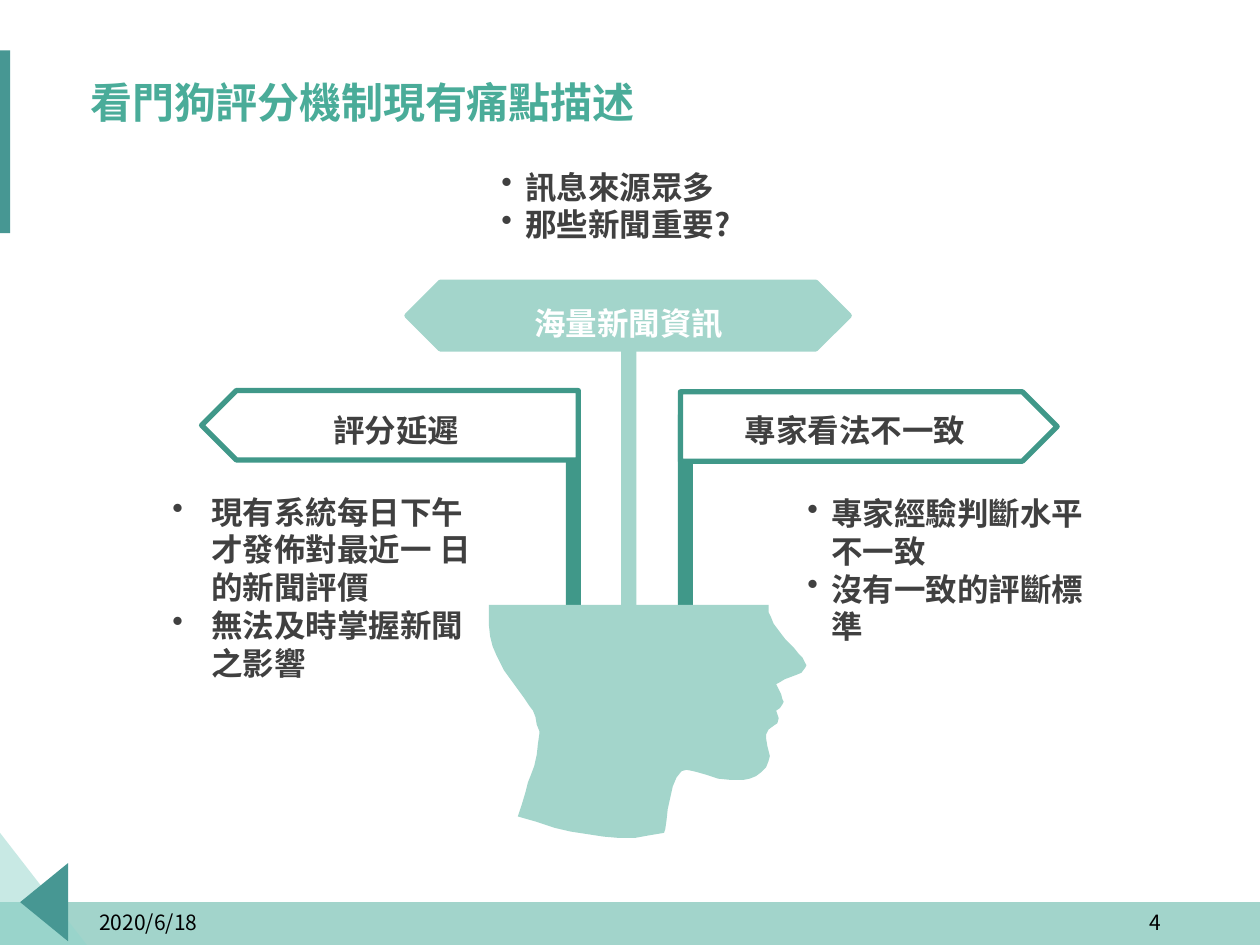
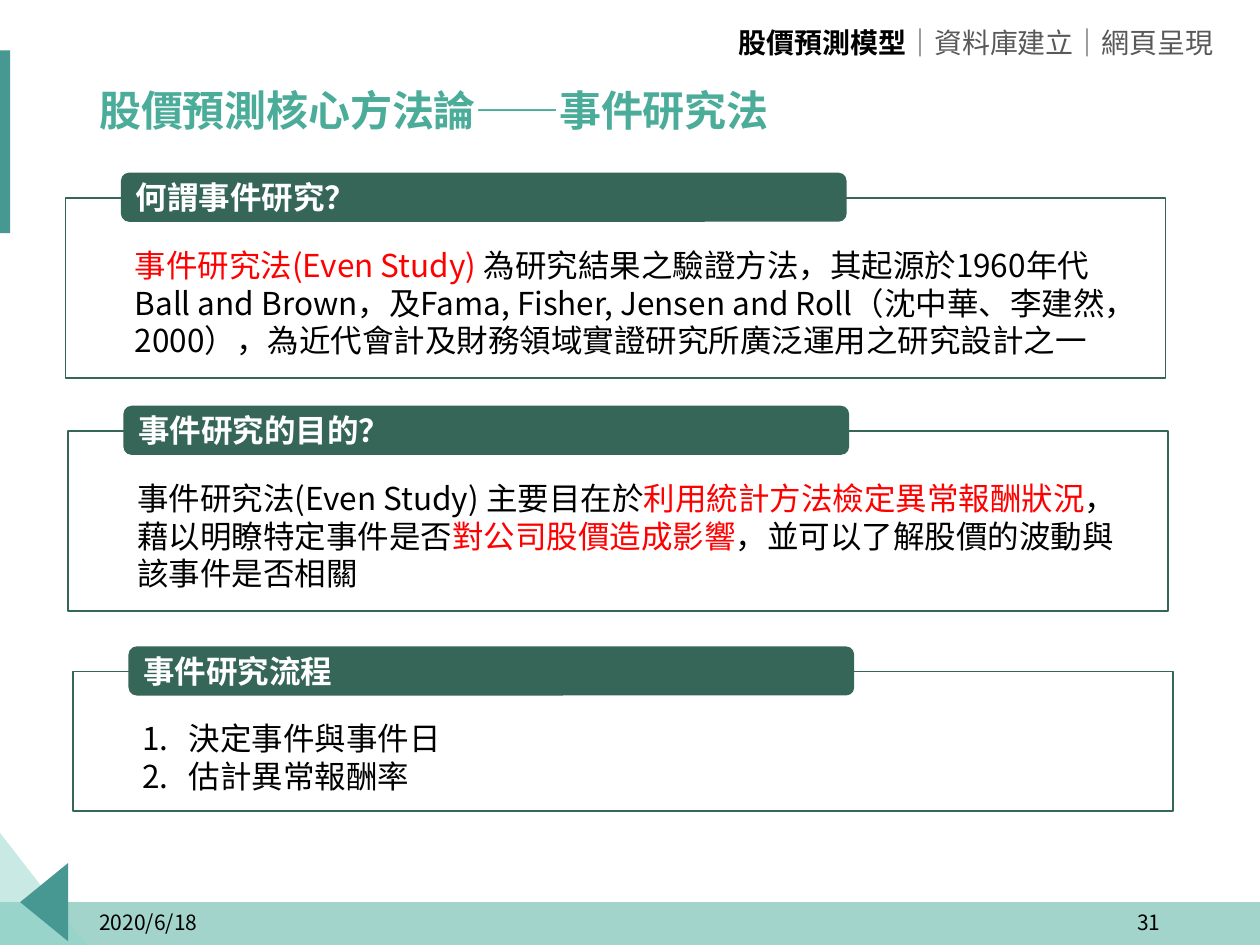
from dataclasses import dataclass

from lxml import etree
from pptx import Presentation
from pptx.dml.color import RGBColor
from pptx.enum.shapes import MSO_SHAPE
from pptx.enum.text import MSO_ANCHOR, PP_ALIGN
from pptx.oxml.ns import qn
from pptx.util import Inches, Pt

RECTANGLE = MSO_SHAPE.RECTANGLE
ROUNDED = MSO_SHAPE.ROUNDED_RECTANGLE
HEXAGON = MSO_SHAPE.HEXAGON
SIGN = MSO_SHAPE.PENTAGON
TOP, MIDDLE = MSO_ANCHOR.TOP, MSO_ANCHOR.MIDDLE
LEFT, CENTER, RIGHT = PP_ALIGN.LEFT, PP_ALIGN.CENTER, PP_ALIGN.RIGHT


@dataclass(frozen=True)
class Theme:
    sans_tc: str = "Noto Sans CJK TC"
    sans_sc: str = "Noto Sans CJK SC"
    title: str = "4AAC99"
    pale: str = "92D4CB"
    accent: str = "479793"
    mint: str = "A3D5CB"
    teal: str = "409889"
    forest: str = "356657"
    charcoal: str = "404040"
    gray: str = "595959"
    black: str = "000000"
    white: str = "FFFFFF"
    red: str = "FF0000"
    title_size: int = 24
    body_size: int = 18
    trail_size: int = 16
    footer_size: int = 12
    line_pitch: float = 1.2


@dataclass(frozen=True)
class Run:
    text: str
    color: str
    face: str = ""
    bold: bool = False


THEME = Theme()

# Outline of the head in hundredths of an inch, clockwise from the top left
HEAD_OUTLINE = [
    (0, 0), (222, 0), (222, 6), (224, 10), (226, 15), (229, 19), (235, 27),
    (242, 34), (246, 39), (249, 42), (251, 46), (252, 48), (251, 50),
    (248, 54), (243, 56), (235, 59), (230, 62), (228, 63), (229, 65),
    (232, 71), (233, 75), (234, 77), (233, 79), (231, 82), (228, 84),
    (229, 87), (230, 90), (229, 94), (226, 96), (222, 99), (220, 103),
    (220, 106), (221, 112), (223, 120), (222, 124), (220, 129), (216, 133),
    (212, 136), (207, 138), (202, 139), (192, 139), (182, 138), (173, 135),
    (166, 133), (162, 132), (157, 131), (153, 132), (149, 137), (146, 144),
    (144, 153), (142, 162), (141, 171), (140, 178), (139, 181), (127, 183),
    (116, 185), (103, 185), (91, 184), (78, 182), (65, 180), (52, 177),
    (37, 172), (23, 168), (26, 159), (29, 149), (31, 141), (33, 136),
    (36, 128), (38, 119), (39, 110), (40, 103), (40, 100), (38, 95),
    (37, 89), (35, 84), (32, 80), (28, 74), (20, 63), (12, 52), (9, 46),
    (6, 40), (3, 33), (1, 25), (0, 16),
]


def paint(shape, fill=None, line=None, line_width=1, opacity=100):
    shape.shadow.inherit = False
    if fill:
        shape.fill.solid()
        shape.fill.fore_color.rgb = RGBColor.from_string(fill)
        if opacity < 100:
            color = shape.fill._xPr.find(qn("a:solidFill"))[0]
            etree.SubElement(color, qn("a:alpha"), val=str(opacity * 1000))
    else:
        shape.fill.background()
    if line:
        shape.line.color.rgb = RGBColor.from_string(line)
        shape.line.width = Pt(line_width)
    else:
        shape.line.fill.background()
    return shape


def add_block(slide, kind, left, top, width, height, **look):
    shape = slide.shapes.add_shape(
        kind, Inches(left), Inches(top), Inches(width), Inches(height))
    return paint(shape, **look)


def add_outline(slide, left, top, points, **look):
    """Draw a closed outline whose points are hundredths of an inch from left, top."""
    builder = slide.shapes.build_freeform(*points[0], scale=Inches(0.01))
    builder.add_line_segments(points[1:], close=True)
    return paint(builder.convert_to_shape(Inches(left), Inches(top)), **look)


def set_face(font, face):
    """Set the Latin and the East Asian typeface."""
    font.name = face
    etree.SubElement(font._rPr, qn("a:ea"), typeface=face)


def set_bullet(paragraph, indent, numbered):
    properties = paragraph._p.get_or_add_pPr()
    properties.set("marL", str(Inches(indent)))
    properties.set("indent", str(-Inches(indent)))
    if numbered:
        bullet = etree.Element(qn("a:buAutoNum"), type="arabicPeriod")
    else:
        bullet = etree.Element(qn("a:buChar"), char="•")
    properties.insert_element_before(bullet, "a:tabLst", "a:defRPr", "a:extLst")


def write(frame, paragraphs, size, face, color=THEME.black, bold=False,
          align=LEFT, spacing=None, indent=0, numbered=False):
    """Fill a text frame; a paragraph is a string or a list of Runs."""
    for index, content in enumerate(paragraphs):
        paragraph = frame.paragraphs[0] if index == 0 else frame.add_paragraph()
        paragraph.alignment = align
        if spacing:
            paragraph.line_spacing = spacing
        font = paragraph.font
        font.size = Pt(size)
        if isinstance(content, str):
            font.bold = bold
            font.color.rgb = RGBColor.from_string(color)
            paragraph.add_run().text = content
        else:
            for part in content:
                run = paragraph.add_run()
                run.text = part.text
                run.font.bold = part.bold
                run.font.color.rgb = RGBColor.from_string(part.color)
                if part.face:
                    set_face(run.font, part.face)
        set_face(font, face)
        if indent:
            set_bullet(paragraph, indent, numbered)


def add_text(slide, left, top, width, height, paragraphs, size=THEME.body_size,
             face=THEME.sans_tc, anchor=TOP, wrap=True, **style):
    box = slide.shapes.add_textbox(
        Inches(left), Inches(top), Inches(width), Inches(height))
    frame = box.text_frame
    frame.word_wrap = wrap
    frame.vertical_anchor = anchor
    if anchor == TOP:
        frame.margin_top = Inches(0.07)
        style["spacing"] = Pt(size * THEME.line_pitch)
    write(frame, paragraphs, size, face, **style)
    return box


def add_decoration(slide):
    add_block(slide, RECTANGLE, 0, 7.16, 10, 0.34, fill=THEME.title, opacity=51)
    add_outline(slide, 0, 6.61, [(0, 0), (69, 89), (0, 89)],
                fill=THEME.pale, opacity=50)
    add_outline(slide, 0.16, 6.85, [(38, 0), (38, 62), (0, 31)], fill=THEME.accent)
    add_block(slide, RECTANGLE, -0.08, 0.4, 0.16, 1.45, fill=THEME.accent)


def add_title(slide, left, top, title, face):
    box = add_text(slide, left, top, 8.62, 0.66, [title], THEME.title_size, face,
                   MIDDLE, color=THEME.title, bold=True, spacing=0.9)
    for run in box.text_frame.paragraphs[0].runs:
        run.font._rPr.set("spc", "-10")


def add_footer(slide, number):
    for left, text, align in ((0.69, "2020/6/18", LEFT), (7.06, number, RIGHT)):
        add_text(slide, left, 7.12, 2.25, 0.4, [text], THEME.footer_size,
                 anchor=MIDDLE, align=align)


def start_slide(presentation, number, title, title_left, title_top, title_face):
    slide = presentation.slides.add_slide(presentation.slide_layouts[6])
    add_decoration(slide)
    add_title(slide, title_left, title_top, title, title_face)
    add_footer(slide, number)
    return slide


def add_label(slide, left, top, width, text, color=THEME.charcoal):
    add_text(slide, left, top, width, 0.4, [text], face=THEME.sans_sc,
             color=color, bold=True, align=CENTER)


def add_bullets(slide, left, top, width, height, items, indent=0.19):
    add_text(slide, left, top, width, height, items, face=THEME.sans_sc,
             color=THEME.charcoal, bold=True, indent=indent)


def add_head_with_signs(slide, left, top):
    """Draw the signposts rising from a head whose box starts at left, top."""
    for offset, rise, height, color in ((0.61, 1.69, 1.89, THEME.teal),
                                        (1.05, 2.04, 2.25, THEME.mint),
                                        (1.5, 1.51, 1.89, THEME.teal)):
        add_block(slide, RECTANGLE, left + offset, top - rise, 0.12, height, fill=color)
    add_outline(slide, left, top, HEAD_OUTLINE, fill=THEME.mint)

    for offset, rise, rotation in ((-2.28, 1.7, 180), (1.52, 1.69, 0)):
        sign = add_block(slide, SIGN, left + offset, top - rise, 2.99, 0.55,
                         fill=THEME.white, line=THEME.teal, line_width=3)
        sign.rotation = rotation
    top_sign = add_block(slide, HEXAGON, left - 0.65, top - 2.56, 3.51, 0.53,
                         fill=THEME.mint, line=THEME.mint, line_width=3)
    top_sign.adjustments[0] = 0.5

    add_label(slide, left + 0.23, top - 2.46, 1.76, "海量新聞資訊", THEME.white)
    add_label(slide, left - 1.81, top - 1.61, 2.15, "評分延遲")
    add_label(slide, left + 1.75, top - 1.61, 2.31, "專家看法不一致")


def build_pain_points(presentation):
    slide = start_slide(presentation, "4", "看門狗評分機制現有痛點描述",
                        0.62, 0.5, THEME.sans_sc)
    add_head_with_signs(slide, 3.88, 4.8)
    add_bullets(slide, 3.88, 1.26, 3.18, 0.71, ["訊息來源眾多", "那些新聞重要?"])
    add_bullets(slide, 1.27, 3.84, 2.61, 1.62,
                ["現有系統每⽇下午才發佈對最近⼀ ⽇的新聞評價",
                 "無法及時掌握新聞之影響"], indent=0.31)
    add_bullets(slide, 6.31, 3.85, 2.44, 1.62,
                ["專家經驗判斷⽔平 不⼀致", "沒有一致的評斷標準"])


def add_chapter_trail(slide, left, top):
    separator = Run("｜", THEME.gray, THEME.sans_sc)
    trail = [Run("股價預測模型", THEME.black, bold=True), separator,
             Run("資料庫建立", THEME.gray), separator, Run("網頁呈現", THEME.gray)]
    add_text(slide, left, top, 4.02, 0.37, [trail], THEME.trail_size,
             wrap=False, align=RIGHT)


def add_section(slide, left, top, height, heading, paragraphs, **style):
    """Draw a framed section with its heading bar across the top edge."""
    add_block(slide, RECTANGLE, left, top, 8.73, height, line=THEME.forest)
    bar = add_block(slide, ROUNDED, left + 0.44, top - 0.2, 5.76, 0.39,
                    fill=THEME.forest)
    bar.text_frame.vertical_anchor = MIDDLE
    write(bar.text_frame, [heading], THEME.body_size, THEME.sans_tc,
          color=THEME.white, bold=True)
    add_text(slide, left + 0.45, top + 0.31, 8.18, height - 0.41, paragraphs, **style)


def build_event_study(presentation):
    slide = start_slide(presentation, "31", "股價預測核心方法論——事件研究法",
                        0.69, 0.57, THEME.sans_tc)
    add_chapter_trail(slide, 5.71, 0.13)
    definition = [
        Run("事件研究法(Even Study) ", THEME.red),
        Run("為研究結果之驗證方法，其起源於1960年代 Ball and Brown，及Fama, "
            "Fisher, Jensen and Roll（沈中華、李建然，2000），為近代會計及財務"
            "領域實證研究所廣泛運用之研究設計之一", THEME.black),
    ]
    purpose = [
        Run("事件研究法(Even Study) 主要目在於", THEME.black),
        Run("利用統計方法檢定異常報酬狀況", THEME.red),
        Run("，藉以明瞭特定事件是否", THEME.black),
        Run("對公司股價造成影響", THEME.red),
        Run("，並可以了解股價的波動與該事件是否相關", THEME.black),
    ]
    add_section(slide, 0.52, 1.57, 1.43, "何謂事件研究？", [definition])
    add_section(slide, 0.54, 3.42, 1.43, "事件研究的目的？", [purpose])
    add_section(slide, 0.58, 5.33, 1.11, "事件研究流程",
                ["決定事件與事件日", "估計異常報酬率"], indent=0.37, numbered=True)


def main():
    presentation = Presentation()
    presentation.slide_width = Inches(10)
    presentation.slide_height = Inches(7.5)
    build_pain_points(presentation)
    build_event_study(presentation)
    presentation.save("out.pptx")


if __name__ == "__main__":
    main()
